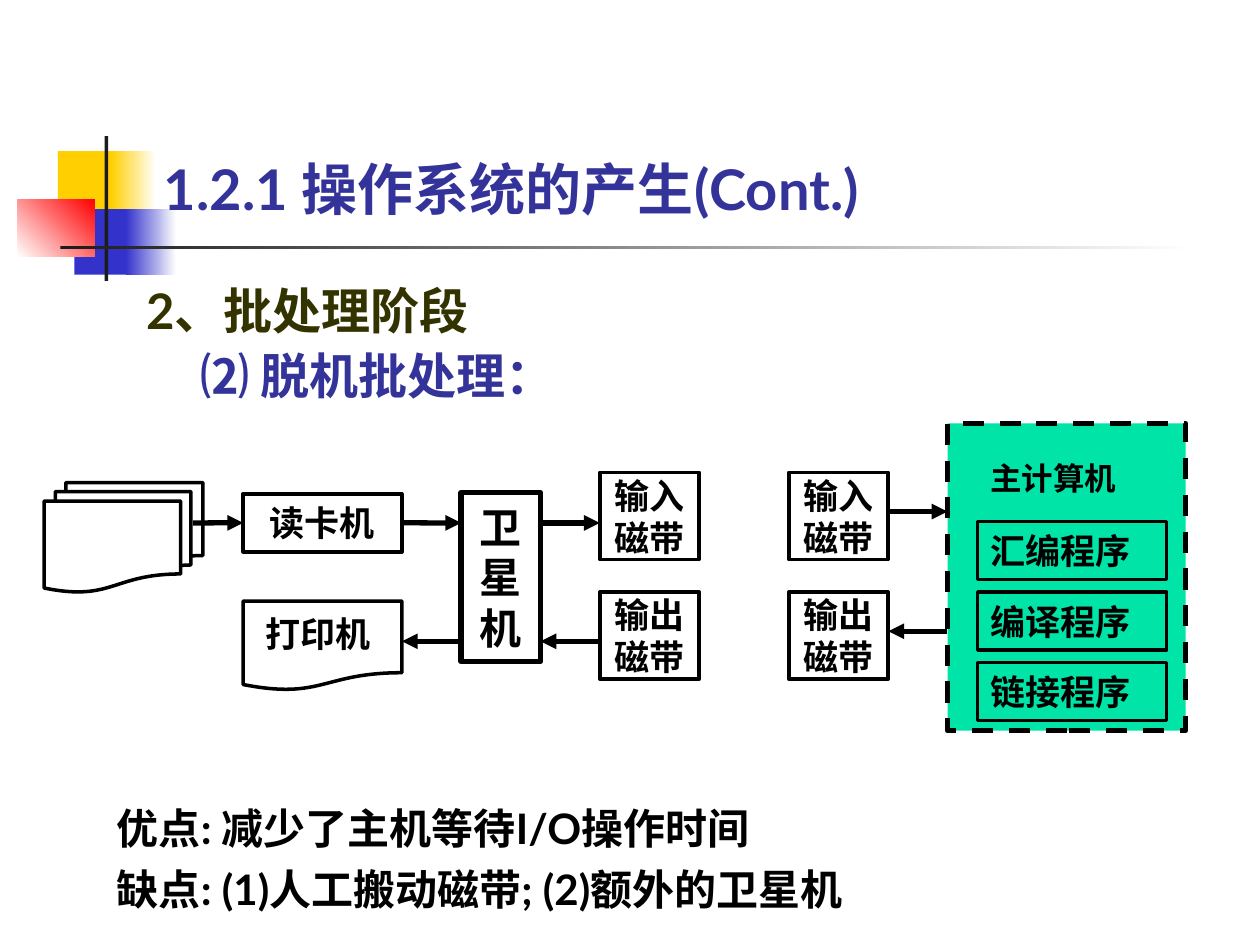
from lxml import etree
from pptx import Presentation
from pptx.dml.color import RGBColor
from pptx.enum.dml import MSO_LINE
from pptx.enum.shapes import MSO_CONNECTOR, MSO_SHAPE as SHAPE
from pptx.enum.text import MSO_ANCHOR as ANCHOR, MSO_AUTO_SIZE, PP_ALIGN as ALIGN
from pptx.oxml.ns import qn
from pptx.util import Inches, Pt

BLACK = RGBColor(0x00, 0x00, 0x00)
WHITE = RGBColor(0xFF, 0xFF, 0xFF)
YELLOW = RGBColor(0xFF, 0xCF, 0x01)
BLUE = RGBColor(0x33, 0x33, 0xCC)
RED = RGBColor(0xFF, 0x00, 0x00)
CHARCOAL = RGBColor(0x1C, 0x1C, 0x1C)
GREEN = RGBColor(0x00, 0xE4, 0xA8)
NAVY = RGBColor(0x33, 0x33, 0x99)
OLIVE = RGBColor(0x33, 0x33, 0x00)

prs = Presentation()
prs.slide_width, prs.slide_height = Inches(10), Inches(7.5)
CELL = prs.slide_width // 100
s = prs.slides.add_slide(prs.slide_layouts[1])


def add_box(kind, area, fill=None, line=0):
    sp = s.shapes.add_shape(kind, *[int(v * CELL) for v in area])
    sp.shadow.inherit = False
    if fill is None:
        sp.fill.background()
    else:
        sp.fill.solid()
        sp.fill.fore_color.rgb = fill
    if line:
        sp.line.color.rgb = BLACK
        sp.line.width = Pt(line)
    else:
        sp.line.fill.background()
    return sp


def write(sp, text, size, color=BLACK, align=ALIGN.LEFT, anchor=ANCHOR.TOP, inset=1, before=0):
    tf = sp.text_frame
    tf.word_wrap = True
    tf.auto_size = MSO_AUTO_SIZE.NONE
    tf.vertical_anchor = anchor
    tf.margin_left = tf.margin_right = inset * CELL
    tf.margin_top = tf.margin_bottom = inset * CELL // 2
    tf.text = text
    for i, p in enumerate(tf.paragraphs):
        p.alignment = align
        p.space_before = Pt(before if i else 0)
        for r in p.runs:
            r.font.name, r.font.size, r.font.bold = "Lato", Pt(size), True
            r.font.color.rgb = color


decor = [
    ((4.6, 12, 4.8, 5.2), YELLOW, None, 0),
    ((8.8, 12, 3.6, 5.2), YELLOW, WHITE, 0),
    ((5.9, 16.6, 4.6, 5.2), BLUE, None, 0),
    ((10, 16.6, 4, 5.2), BLUE, WHITE, 0),
    ((1.4, 15.8, 6.1, 4.6), WHITE, RED, 45),
    ((8.3, 10.8, 0.3, 11.5), CHARCOAL, None, 0),
    ((4.8, 19.5, 90, 0.3), CHARCOAL, WHITE, 0),
]
for area, start, end, angle in decor:
    sp = add_box(SHAPE.RECTANGLE, area, start)
    if end is not None:
        sp.fill.gradient()
        sp.fill.gradient_angle = angle
        for stop, color in zip(sp.fill.gradient_stops, (start, end)):
            stop.color.rgb = color

reader = add_box(SHAPE.RECTANGLE, (19.3, 39.2, 12.6, 4.6), line=2)
write(reader, "读卡机", 20, align=ALIGN.CENTER, anchor=ANCHOR.MIDDLE)
host = add_box(SHAPE.RECTANGLE, (75.2, 33.6, 18.9, 24.4), GREEN, 3)
host.line.dash_style = MSO_LINE.DASH
for i, name in enumerate(["汇编程序", "编译程序", "链接程序"]):
    program = add_box(SHAPE.RECTANGLE, (77.6, 41.4 + 5.6 * i, 15, 4.6), line=2)
    write(program, name, 20, anchor=ANCHOR.MIDDLE)
add_box(SHAPE.FLOWCHART_MULTIDOCUMENT, (3.5, 38.3, 12.6, 8.7), WHITE, 2)
add_box(SHAPE.FLOWCHART_DOCUMENT, (19.3, 47.7, 12.6, 7.1), line=2)
satellite = add_box(SHAPE.RECTANGLE, (36.6, 39.1, 6.3, 13.4), line=3)
write(satellite, "卫星机", 24, align=ALIGN.CENTER, anchor=ANCHOR.MIDDLE)
for x in (47.6, 62.6):
    for y, name in ((37.5, "输入磁带"), (47, "输出磁带")):
        tape = add_box(SHAPE.RECTANGLE, (x, y, 7.9, 6.9), line=2)
        write(tape, name, 20, align=ALIGN.CENTER, anchor=ANCHOR.MIDDLE, inset=0)

labels = [
    ((20.1, 48.1, 11.8, 4.3), "打印机", 20, 0),
    ((77.6, 35.9, 13.4, 4), "主计算机", 18, 0),
    ((8.3, 63.2, 64.6, 10), "优点: 减少了主机等待I/O操作时间\n缺点: (1)人工搬动磁带; (2)额外的卫星机", 24, 6),
]
for area, text, size, before in labels:
    sp = s.shapes.add_textbox(*[int(v * CELL) for v in area])
    write(sp, text, size, before=before)

arrows = [
    (15.3, 19.3, 41.5, None, reader),
    (31.9, 36.6, 41.5, reader, None),
    (42.9, 47.6, 41.5, None, None),
    (70.5, 75.2, 40.6, None, None),
    (36.6, 31.9, 50.9, None, None),
    (47.6, 42.9, 50.9, None, None),
    (75.2, 70.5, 50.1, None, None),
]
for x1, x2, y, source, target in arrows:
    cn = s.shapes.add_connector(MSO_CONNECTOR.STRAIGHT, *[int(v * CELL) for v in (x1, y, x2, y)])
    if source:
        cn.begin_connect(source, 3)
    if target:
        cn.end_connect(target, 1)
    cn.line.color.rgb = BLACK
    cn.line.width = Pt(3)
    etree.SubElement(cn.line._get_or_add_ln(), qn("a:tailEnd"), type="triangle")
    etree.SubElement(cn.element.spPr, qn("a:effectLst"))

title, body = s.shapes.title, s.placeholders[1]
for sp, area in ((title, (13, 12.3, 63.8, 5.3)), (body, (10.6, 21.8, 50, 10.8))):
    sp.left, sp.top, sp.width, sp.height = [int(v * CELL) for v in area]
    s.shapes.element.append(sp.element)
write(title, "1.2.1 操作系统的产生(Cont.)", 32, NAVY, anchor=ANCHOR.MIDDLE, inset=0)
write(body, "2、批处理阶段\n⑵ 脱机批处理：", 28, OLIVE, before=3)
for p, color, indent in zip(body.text_frame.paragraphs, (OLIVE, NAVY), (0, 4.3)):
    pPr = p._p.get_or_add_pPr()
    pPr.set("marL", str(int(indent * CELL)))
    pPr.set("indent", "0")
    etree.SubElement(pPr, qn("a:buNone"))
    p.runs[0].font.color.rgb = color

prs.save("out.pptx")
